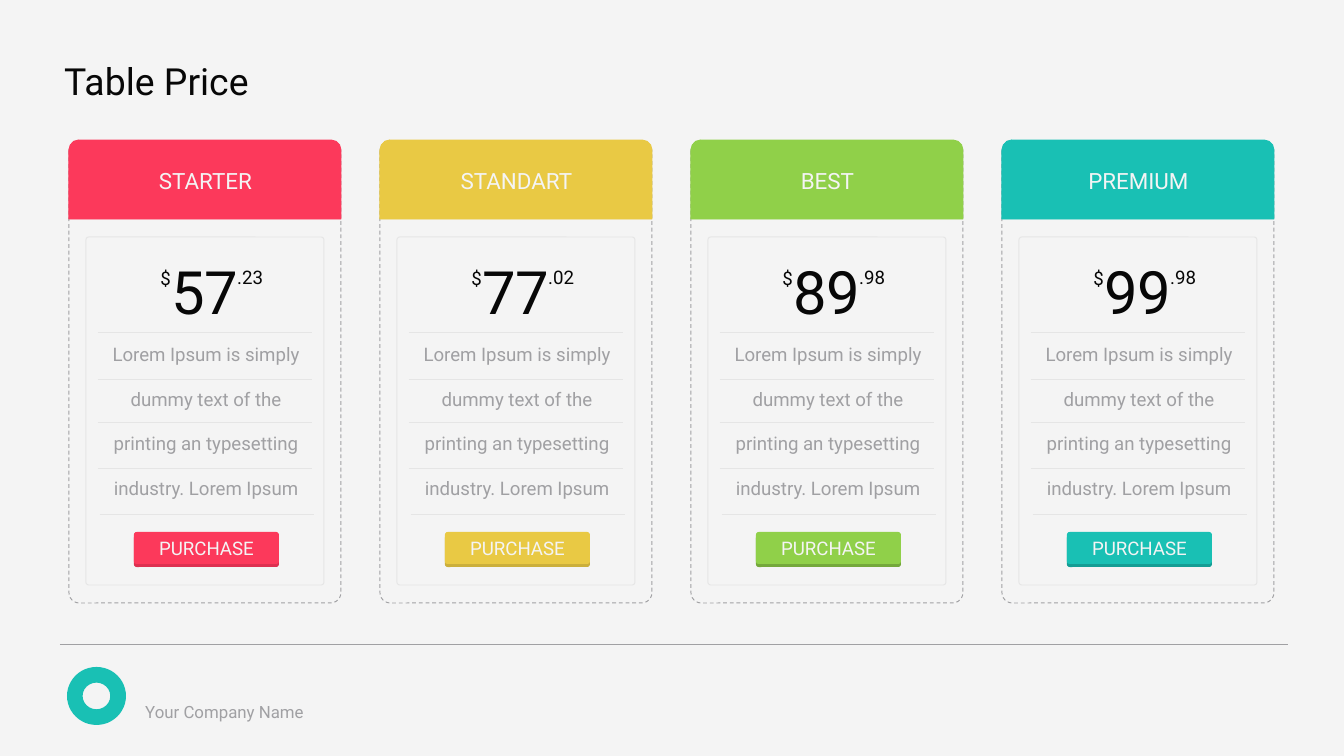
from pptx import Presentation
from pptx.dml.color import RGBColor
from pptx.enum.dml import MSO_LINE
from pptx.enum.shapes import MSO_CONNECTOR, MSO_SHAPE as Shape
from pptx.enum.text import MSO_ANCHOR as Anchor, PP_ALIGN as Align
from pptx.oxml import parse_xml
from pptx.oxml.ns import nsdecls
from pptx.util import Pt

SCALE = 9144000 / 1344  # EMU in one px
WIDTH, HEIGHT = 1344, 756
FONT = "Roboto"
PAPER, INK, GREY, PALE = "F4F4F4", "070707", "A0A0A3", "E5E5E5"

# Card grid
CARD_LEFT, CARD_PITCH, CARD_WIDTH = 69, 311, 272
PLANS = [
    ("STARTER", "57", ".23", "FC395B", "DD3050"),
    ("STANDART", "77", ".02", "E9C944", "CBAF3B"),
    ("BEST", "89", ".98", "90D049", "74A83B"),
    ("PREMIUM", "99", ".98", "19C0B4", "149D94"),
]
FEATURES = [
    "Lorem Ipsum is simply",
    "dummy text of the",
    "printing an typesetting",
    "industry. Lorem Ipsum",
]
# Offset from the card's left edge and height of each rule
RULES = [(29, 333), (29, 380), (29, 423), (29, 469), (31, 515)]
RULE_WIDTH = 214


def px(value):
    return round(value * SCALE)


def color(value):
    return RGBColor.from_string(value)


def apply(target, values):
    for name, value in values.items():
        setattr(target, name, value)


class Deck:
    def __init__(self):
        self.prs = Presentation()
        apply(self.prs, {"slide_width": px(WIDTH), "slide_height": px(HEIGHT)})
        self.slide = self.prs.slides.add_slide(self.prs.slide_layouts[6])
        self.slide.background.fill.solid()
        self.slide.background.fill.fore_color.rgb = color(PAPER)
        self.shapes = self.slide.shapes

    def start_group(self):
        self.shapes = self.slide.shapes.add_group_shape().shapes

    def outline(self, item, stroke, dash=None):
        item.line.color.rgb = color(stroke)
        apply(item.line, {"width": Pt(0.5), "dash_style": dash})

    def box(self, kind, frame, fill=None, stroke=None, dash=None, adjust=()):
        item = self.shapes.add_shape(kind, *map(px, frame))
        item.shadow.inherit = False
        for index, value in enumerate(adjust):
            item.adjustments[index] = value
        if fill:
            item.fill.solid()
            item.fill.fore_color.rgb = color(fill)
        else:
            item.fill.background()
        if stroke:
            self.outline(item, stroke, dash)
        else:
            item.line.fill.background()

    def rule(self, left, right, y, stroke):
        item = self.shapes.add_connector(
            MSO_CONNECTOR.STRAIGHT, px(left), px(y), px(right), px(y))
        self.outline(item, stroke)
        item._element.spPr.append(parse_xml(f"<a:effectLst {nsdecls('a')}/>"))

    def text(self, frame, lines, size, ink, align=Align.CENTER,
             anchor=Anchor.BOTTOM, gap=0):
        body = self.shapes.add_textbox(*map(px, frame)).text_frame
        apply(body, {"word_wrap": True, "vertical_anchor": anchor})
        for index, line in enumerate(lines):
            paragraph = body.add_paragraph() if index else body.paragraphs[0]
            paragraph.text = line
            paragraph.alignment = align
            if index:
                paragraph.space_before = Pt(gap)
            apply(paragraph.font, {"name": FONT, "size": Pt(size)})
            paragraph.font.color.rgb = color(ink)

    def card(self, left, plan, price, cents, tint, shade):
        self.start_group()
        # Frames and header
        self.box(Shape.ROUNDED_RECTANGLE, (left, 141, CARD_WIDTH, 462),
                 PAPER, GREY, MSO_LINE.DASH, [0.038])
        self.box(Shape.ROUNDED_RECTANGLE, (left + 17, 237, 238, 348),
                 stroke=PALE, adjust=[0.012])
        self.box(Shape.ROUND_2_SAME_RECTANGLE, (left, 140, CARD_WIDTH, 79),
                 tint, tint, adjust=[0.125, 0])
        self.text((left + 2, 151, 269, 50), [plan], 12, PAPER)
        # Price
        self.text((left + 17, 234, 238, 99), [price], 32, INK)
        self.text((left + 77, 246, 39, 50), ["$"], 10, INK)
        self.text((left + 155, 245, 70, 50), [cents], 10, INK, Align.LEFT)
        # Features
        self.text((left + 27, 336, 220, 172), FEATURES, 10, GREY,
                  anchor=Anchor.TOP, gap=12)
        for offset, y in RULES:
            self.rule(left + offset, left + offset + RULE_WIDTH, y, PALE)
        # Button with its darker lower edge
        for top, fill in ((535, shade), (532, tint)):
            self.box(Shape.ROUNDED_RECTANGLE, (left + 65, top, 145, 32),
                     fill, adjust=[0.085])
        self.text((left + 73, 530, 129, 36), ["PURCHASE"], 10, PAPER,
                  anchor=Anchor.TOP)


def main():
    deck = Deck()
    # Footer
    deck.box(Shape.DONUT, (67, 667, 59, 58), "19C0B4", adjust=[0.27])
    deck.text((132, 695, 273, 34), ["Your Company Name"], 9, GREY,
              Align.LEFT, Anchor.TOP)
    deck.rule(60, 1288, 645, GREY)
    # Title
    deck.text((51, 42, 664, 68), ["Table Price"], 20, INK, Align.LEFT)
    # Price cards
    for column, plan in enumerate(PLANS):
        deck.card(CARD_LEFT + column * CARD_PITCH, *plan)
    deck.prs.save("out.pptx")


if __name__ == "__main__":
    main()
